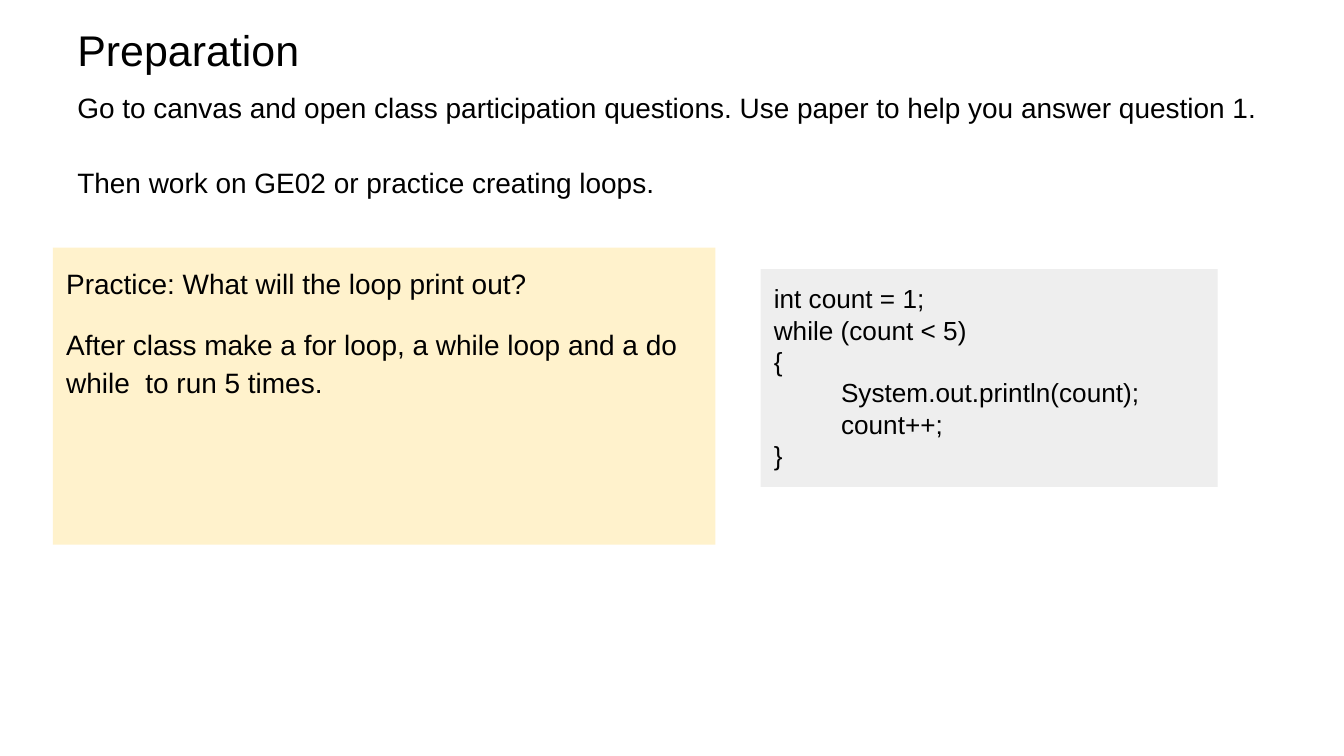
from pptx import Presentation
from pptx import util as u
from pptx.dml.color import RGBColor
from pptx.enum import shapes, text

COLORS = {"ink": "000000", "paper": "FFFFFF", "practice": "FFF2CC", "code": "EEEEEE"}
FONT = "Arial"


def write(paragraph, words, size=15, line=1.0, before=0, indent=0):
    paragraph.alignment = text.PP_ALIGN.LEFT
    paragraph.line_spacing = line
    paragraph.space_before = u.Pt(before)
    paragraph.space_after = u.Pt(0)
    if indent:
        paragraph._p.get_or_add_pPr().set("indent", str(u.Inches(indent)))
    run = paragraph.add_run()
    run.text = words
    run.font.name = FONT
    run.font.size = u.Pt(size)
    run.font.color.rgb = RGBColor.from_string(COLORS["ink"])


class SlideBuilder:
    """Adds elements to one slide; boxes are (left, top, width, height) in percent."""

    def __init__(self, presentation):
        self.width = presentation.slide_width
        self.height = presentation.slide_height
        self.slide = presentation.slides.add_slide(presentation.slide_layouts[6])
        background = self.slide.background.fill
        background.solid()
        background.fore_color.rgb = RGBColor.from_string(COLORS["paper"])

    def place(self, box):
        sides = (self.width, self.height) * 2
        return [round(side * share / 100) for side, share in zip(sides, box)]

    def fill_text(self, shape, lines, insets, anchor=text.MSO_ANCHOR.TOP, **style):
        """Write lines of (words, format overrides) into the shape."""
        frame = shape.text_frame
        frame.word_wrap = True
        frame.vertical_anchor = anchor
        frame.margin_left = frame.margin_right = u.Inches(insets[0])
        frame.margin_top = frame.margin_bottom = u.Inches(insets[1])
        for number, (words, changes) in enumerate(lines):
            paragraph = frame.add_paragraph() if number else frame.paragraphs[0]
            write(paragraph, words, **{**style, **changes})

    def label(self, box, lines, **style):
        shape = self.slide.shapes.add_textbox(*self.place(box))
        self.fill_text(shape, lines, (0.07, 0.04), **style)

    def panel(self, box, color, lines, **style):
        shape = self.slide.shapes.add_shape(
            shapes.MSO_SHAPE.RECTANGLE, *self.place(box))
        shape.shadow.inherit = False
        shape.fill.solid()
        shape.fill.fore_color.rgb = RGBColor.from_string(COLORS[color])
        shape.line.fill.background()
        self.fill_text(shape, lines, (0.1, 0.1), **style)


def main():
    presentation = Presentation()
    presentation.slide_width = u.Inches(10)
    presentation.slide_height = presentation.slide_width * 9 // 16
    builder = SlideBuilder(presentation)

    builder.label((5.05, 1.65, 86.2, 10.5), [("Preparation", {})],
                  anchor=text.MSO_ANCHOR.MIDDLE, size=23, line=0.9)
    builder.label((5.05, 12.1, 91.7, 16), [
        ("Go to canvas and open class participation questions. "
         "Use paper to help you answer question 1.", {}),
        ("Then work on GE02 or practice creating loops.", {"before": 26}),
    ], line=0.8)
    builder.panel((3.94, 32.75, 49.3, 39.3), "practice", [
        ("Practice: What will the loop print out?", {}),
        ("After class make a for loop, a while loop and a do while  to run 5 times.",
         {"before": 12}),
    ], line=1.15)
    builder.panel((56.6, 35.6, 34, 28.8), "code", [
        ("int count = 1;", {}),
        ("while (count < 5)", {}),
        ("{", {}),
        ("System.out.println(count);", {"indent": 0.5}),
        ("count++;", {"indent": 0.5}),
        ("}", {}),
    ], size=14)

    presentation.save("out.pptx")


if __name__ == "__main__":
    main()
